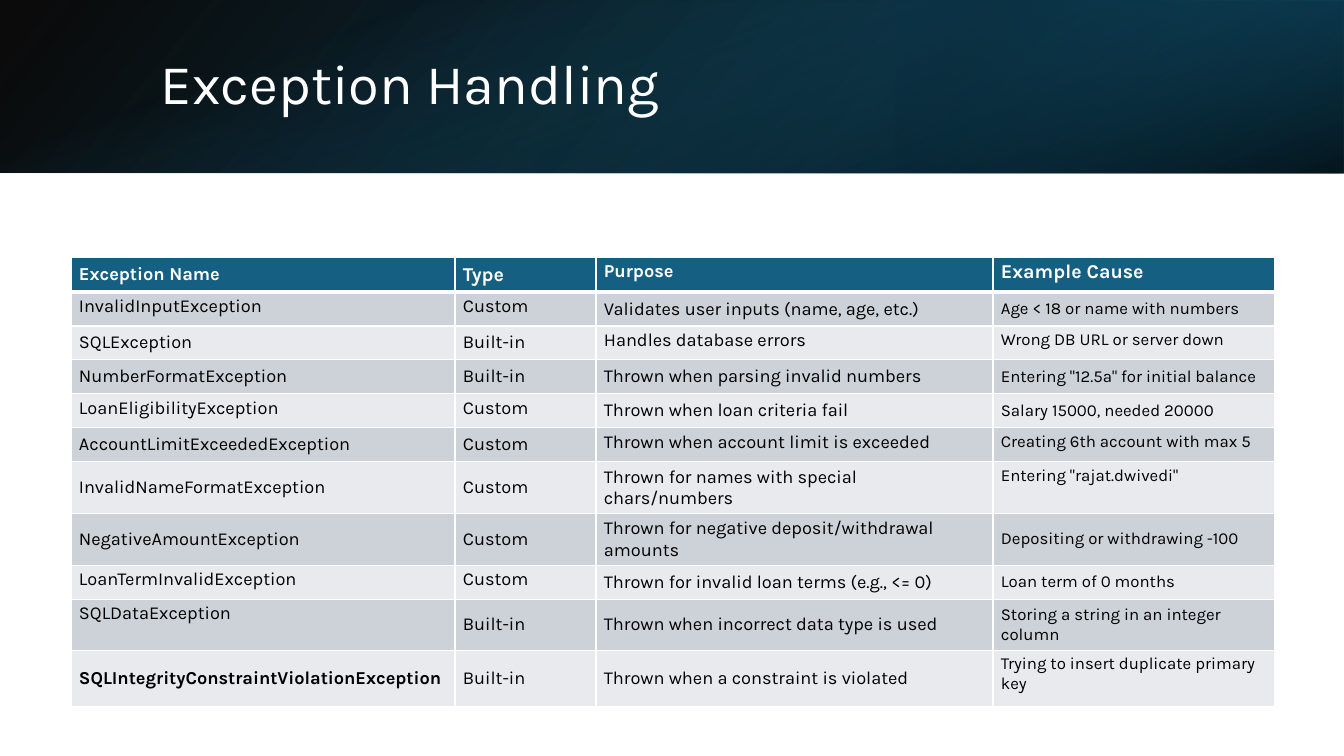
from lxml.etree import SubElement
from pptx import Presentation
from pptx.dml.color import RGBColor
from pptx.enum.shapes import MSO_SHAPE as Shape
from pptx.enum.text import MSO_ANCHOR as Anchor
from pptx.oxml.ns import qn
from pptx.util import Emu, Pt

EMU_PER_PX = 914400 / 100.8
WIDTH, HEIGHT, BANNER_HEIGHT = 1344, 756, 173
FONT = "Karla"
WHITE, BLACK, TEAL = "FFFFFF", "000000", "156082"
BAND_FILLS = ["CCD2D8", "E8EAED"]
ANCHORS = {"t": Anchor.TOP, "m": Anchor.MIDDLE}
COLUMN_WIDTHS = [384, 141, 397, 282]
ROW_HEIGHTS = [35] + [34] * 8 + [51, 56]
HEADER_SIZES = [13, 14, 13, 14]
BODY_SIZES = [13, 13, 13, 12]

EXCEPTIONS = [
    ("mmtt", "Exception Name", "Type", "Purpose", "Example Cause"),
    ("ttmm", "InvalidInputException", "Custom",
     "Validates user inputs (name, age, etc.)", "Age < 18 or name with numbers"),
    ("mmtt", "SQLException", "Built-in",
     "Handles database errors", "Wrong DB URL or server down"),
    ("mmmm", "NumberFormatException", "Built-in",
     "Thrown when parsing invalid numbers", 'Entering "12.5a" for initial balance'),
    ("ttmm", "LoanEligibilityException", "Custom",
     "Thrown when loan criteria fail", "Salary 15000, needed 20000"),
    ("mmtt", "AccountLimitExceededException", "Custom",
     "Thrown when account limit is exceeded", "Creating 6th account with max 5"),
    ("mmmt", "InvalidNameFormatException", "Custom",
     "Thrown for names with special chars/numbers", 'Entering "rajat.dwivedi"'),
    ("mmmm", "NegativeAmountException", "Custom",
     "Thrown for negative deposit/withdrawal amounts", "Depositing or withdrawing -100"),
    ("ttmm", "LoanTermInvalidException", "Custom",
     "Thrown for invalid loan terms (e.g., <= 0)", "Loan term of 0 months"),
    ("tmmm", "SQLDataException", "Built-in",
     "Thrown when incorrect data type is used", "Storing a string in an integer column"),
    ("mmmt", "SQLIntegrityConstraintViolationException", "Built-in",
     "Thrown when a constraint is violated", "Trying to insert duplicate primary key"),
]


def px(length):
    return Emu(round(length * EMU_PER_PX))


def color(value):
    return RGBColor.from_string(value)


def apply_format(target, values):
    for name, value in values.items():
        setattr(target, name, value)


def write(frame, text, size, ink, bold=False):
    para = frame.paragraphs[0]
    span = para.add_run()
    span.text = text
    apply_format(span.font, {"name": FONT, "size": Pt(size), "bold": bold})
    span.font.color.rgb = color(ink)
    return para


def add_gradient(page, box, rotation, flipped, angle, stops):
    shape = page.shapes.add_shape(Shape.RECTANGLE, *map(px, box))
    shape.shadow.inherit = False
    shape.rotation = rotation
    shape.line.fill.background()
    if flipped:
        shape._element.spPr.find(qn("a:xfrm")).set("flipH", "1")
    shape.fill.gradient()
    shape.fill.gradient_angle = 360 - angle
    for stop, (position, tint, _) in zip(shape.fill.gradient_stops, stops):
        stop.position = position / 100
        stop.color.rgb = color(tint)
    tints = shape._element.spPr.iter(qn("a:srgbClr"))
    for tint, (_, _, opacity) in zip(list(tints), stops):
        SubElement(tint, qn("a:alpha"), val=str(opacity * 1000))


def add_banner(page, left, top, width, height):
    third = width // 3
    shift = (width - height) // 2
    add_gradient(page, (left, top, width, height), 0, True, 140,
                 [(0, BLACK, 96), (100, "104862", 100)])
    add_gradient(page, (left + width - third, top, third, height), 180, True, 320,
                 [(19, "0B3041", 68), (100, TEAL, 79)])
    add_gradient(page, (left + shift, top - shift, height, width), 90, False, 340,
                 [(23, TEAL, 0), (99, BLACK, 74)])
    title = page.shapes.add_textbox(*map(px, (left + 151, top + 38, 1107, 97)))
    apply_format(title.text_frame, {"word_wrap": True, "vertical_anchor": Anchor.MIDDLE})
    write(title.text_frame, "Exception Handling", 40, WHITE).line_spacing = 0.9


def add_borders(cell, row):
    widths = {"L": 1, "R": 1, "T": 3 if row == 1 else 1, "B": 3 if row == 0 else 1}
    for side, width in widths.items():
        line = SubElement(cell._tc.get_or_add_tcPr(), qn(f"a:ln{side}"), w=str(Pt(width)))
        fill = SubElement(line, qn("a:solidFill"))
        SubElement(fill, qn("a:srgbClr"), val=WHITE)


def add_exception_table(page, left, top):
    box = (left, top, sum(COLUMN_WIDTHS), sum(ROW_HEIGHTS))
    frame = page.shapes.add_table(len(EXCEPTIONS), len(COLUMN_WIDTHS), *map(px, box))
    table = frame.table
    for column, width in zip(table.columns, COLUMN_WIDTHS):
        column.width = px(width)
    for row, (anchors, *texts) in enumerate(EXCEPTIONS):
        table.rows[row].height = px(ROW_HEIGHTS[row])
        header = row == 0
        last = row == len(EXCEPTIONS) - 1
        for col, text in enumerate(texts):
            cell = table.cell(row, col)
            apply_format(cell, {
                "margin_left": px(8), "margin_right": px(8),
                "margin_top": px(4), "margin_bottom": px(4),
                "vertical_anchor": ANCHORS[anchors[col]],
            })
            add_borders(cell, row)
            cell.fill.solid()
            cell.fill.fore_color.rgb = color(TEAL if header else BAND_FILLS[(row - 1) % 2])
            size = (HEADER_SIZES if header else BODY_SIZES)[col]
            write(cell.text_frame, text, size, WHITE if header else BLACK,
                  header or (last and col == 0))


def main():
    deck = Presentation()
    apply_format(deck, {"slide_width": px(WIDTH), "slide_height": px(HEIGHT)})
    page = deck.slides.add_slide(deck.slide_layouts[6])
    add_banner(page, 0, 0, WIDTH, BANNER_HEIGHT)
    add_exception_table(page, 71, 257)
    deck.save("out.pptx")


if __name__ == "__main__":
    main()
